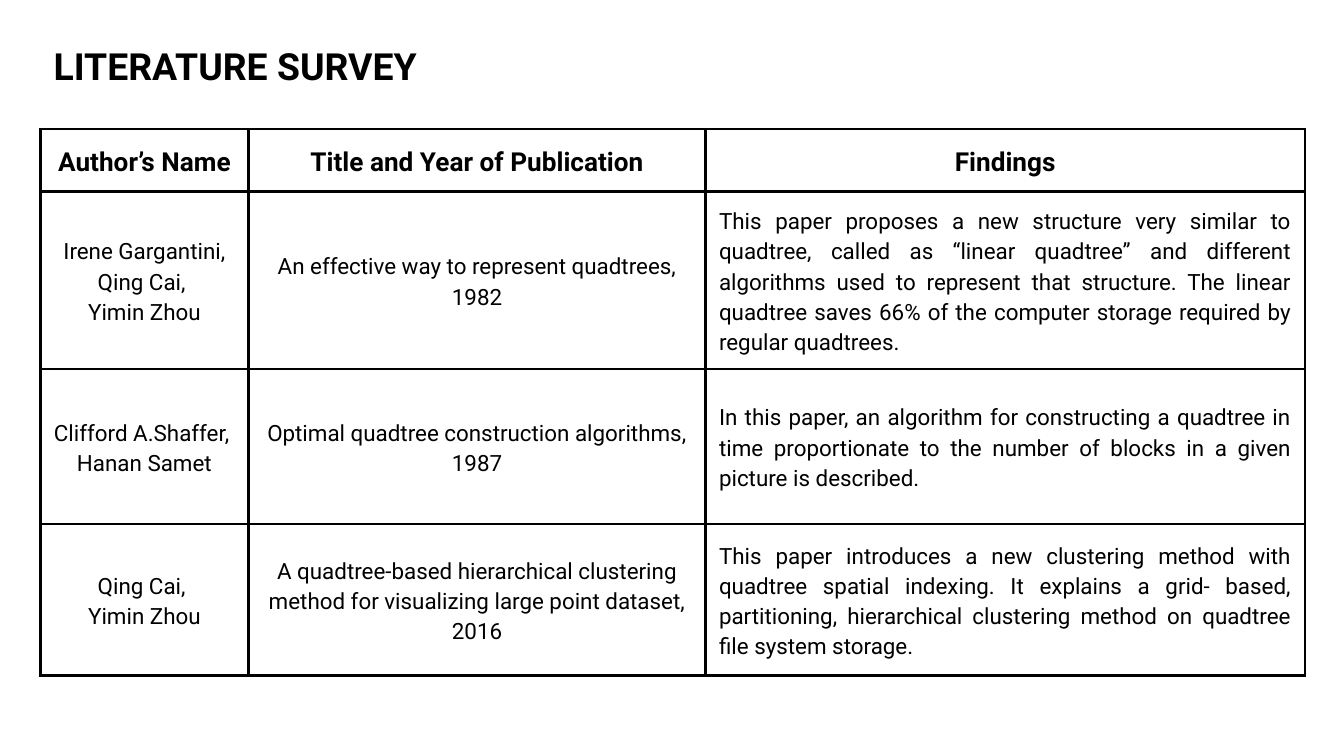
from dataclasses import dataclass

from lxml import etree
from pptx import Presentation
from pptx.dml.color import RGBColor
from pptx.enum.text import MSO_ANCHOR, PP_ALIGN
from pptx.oxml.ns import qn
from pptx.util import Inches, Pt

CENTER, JUSTIFY = PP_ALIGN.CENTER, PP_ALIGN.JUSTIFY
MIDDLE = MSO_ANCHOR.MIDDLE


@dataclass(frozen=True)
class Theme:
    font: str = "Roboto"
    ink: str = "000000"
    title_size: int = 20
    header_size: int = 14
    body_size: int = 12
    line_spacing: float = 1.15
    border_width: float = 1.5
    inset: float = 0.1


THEME = Theme()

# Grid in inches, on a 16:9 page
SLIDE_WIDTH = 10
SLIDE_HEIGHT = SLIDE_WIDTH * 9 / 16
LEFT, TITLE_TOP, TITLE_HEIGHT, TABLE_TOP = 0.3, 0.22, 0.54, 0.96
COLUMNS = (1.55, 3.4, 4.46)
ROWS = (0.16, 1.15, 1.15, 1.13)  # rows grow to fit their text
COLUMN_ALIGNMENTS = (CENTER, CENTER, JUSTIFY)

HEADERS = ("Author’s Name", "Title and Year of Publication", "Findings")
# Each line of a cell's text is one paragraph
PAPERS = (
    (
        "Irene Gargantini,\nQing Cai, \nYimin Zhou",
        "An effective way to represent quadtrees, 1982",
        "This paper proposes a new structure very similar to quadtree, called as "
        "“linear quadtree” and different algorithms used to represent that structure. "
        "The linear quadtree saves 66% of the computer storage required by regular "
        "quadtrees.",
    ),
    (
        "Clifford A.Shaffer, \nHanan Samet",
        "Optimal quadtree construction algorithms, 1987",
        "In this paper, an algorithm for constructing a quadtree in time proportionate "
        "to the number of blocks in a given picture is described. ",
    ),
    (
        "Qing Cai, \nYimin Zhou",
        "A quadtree-based hierarchical clustering method for visualizing large point "
        "dataset, 2016",
        "This paper introduces a new clustering method with quadtree spatial indexing. "
        "It explains a grid- based, partitioning, hierarchical clustering method on "
        "quadtree file system storage. ",
    ),
)


def apply_format(target, values):
    for name, value in values.items():
        setattr(target, name, value)


def set_insets(target):
    sides = ("left", "top", "right", "bottom")
    apply_format(target, {f"margin_{side}": Inches(THEME.inset) for side in sides})


def write_text(frame, text, size, bold, paragraph_format):
    for index, line in enumerate(text.split("\n")):
        para = frame.add_paragraph() if index else frame.paragraphs[0]
        apply_format(para, paragraph_format)
        span = para.add_run()
        span.text = line
        apply_format(span.font, {"name": THEME.font, "size": Pt(size), "bold": bold})
        span.font.color.rgb = RGBColor.from_string(THEME.ink)


def add_borders(cell):
    properties = cell._tc.get_or_add_tcPr()
    for side in ("a:lnL", "a:lnR", "a:lnT", "a:lnB"):
        line = etree.SubElement(properties, qn(side), w=str(Pt(THEME.border_width)))
        fill = etree.SubElement(line, qn("a:solidFill"))
        etree.SubElement(fill, qn("a:srgbClr"), val=THEME.ink)


def fill_cell(cell, text, size, bold, alignment):
    set_insets(cell)
    cell.vertical_anchor = MIDDLE
    add_borders(cell)
    cell.fill.background()
    paragraph_format = {"alignment": alignment, "line_spacing": THEME.line_spacing}
    write_text(cell.text_frame, text, size, bold, paragraph_format)


def add_survey_table(page):
    table = page.shapes.add_table(
        len(ROWS), len(COLUMNS), Inches(LEFT), Inches(TABLE_TOP),
        Inches(sum(COLUMNS)), Inches(sum(ROWS)),
    ).table
    apply_format(table, {"first_row": False, "horz_banding": False})
    for column, width in zip(table.columns, COLUMNS):
        column.width = Inches(width)
    for row, height in zip(table.rows, ROWS):
        row.height = Inches(height)

    # Header row, then one row for each paper
    for index, header in enumerate(HEADERS):
        fill_cell(table.cell(0, index), header, THEME.header_size, True, CENTER)
    for row_index, paper in enumerate(PAPERS, start=1):
        for index, (text, alignment) in enumerate(zip(paper, COLUMN_ALIGNMENTS)):
            cell = table.cell(row_index, index)
            fill_cell(cell, text, THEME.body_size, False, alignment)


def add_title(page, text):
    box = page.shapes.add_textbox(
        Inches(LEFT), Inches(TITLE_TOP), Inches(sum(COLUMNS)), Inches(TITLE_HEIGHT)
    )
    frame = box.text_frame
    frame.word_wrap = True
    set_insets(frame)
    write_text(frame, text, THEME.title_size, True, {"alignment": JUSTIFY})


def main():
    deck = Presentation()
    deck.slide_width, deck.slide_height = Inches(SLIDE_WIDTH), Inches(SLIDE_HEIGHT)
    page = deck.slides.add_slide(deck.slide_layouts[6])
    add_survey_table(page)
    add_title(page, "LITERATURE SURVEY")
    deck.save("out.pptx")


if __name__ == "__main__":
    main()
